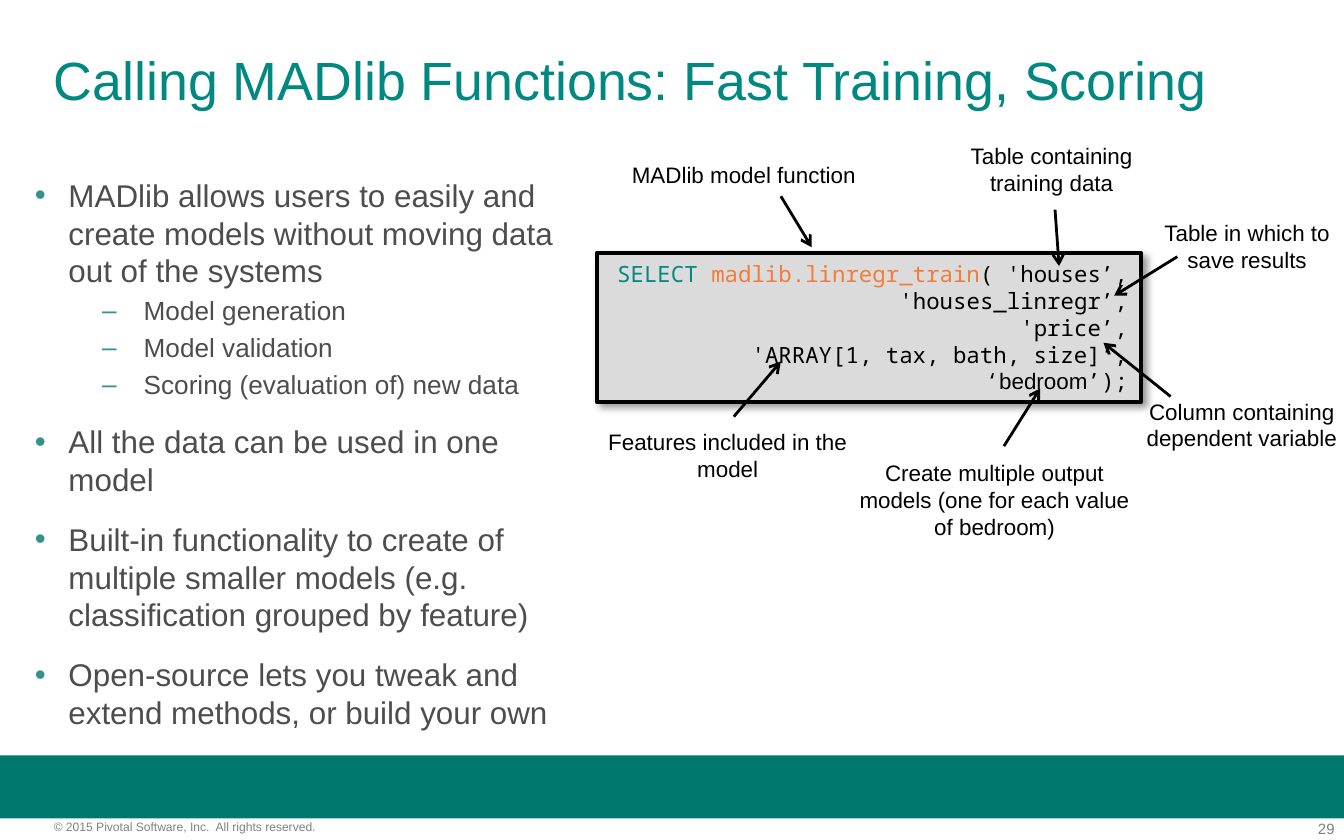
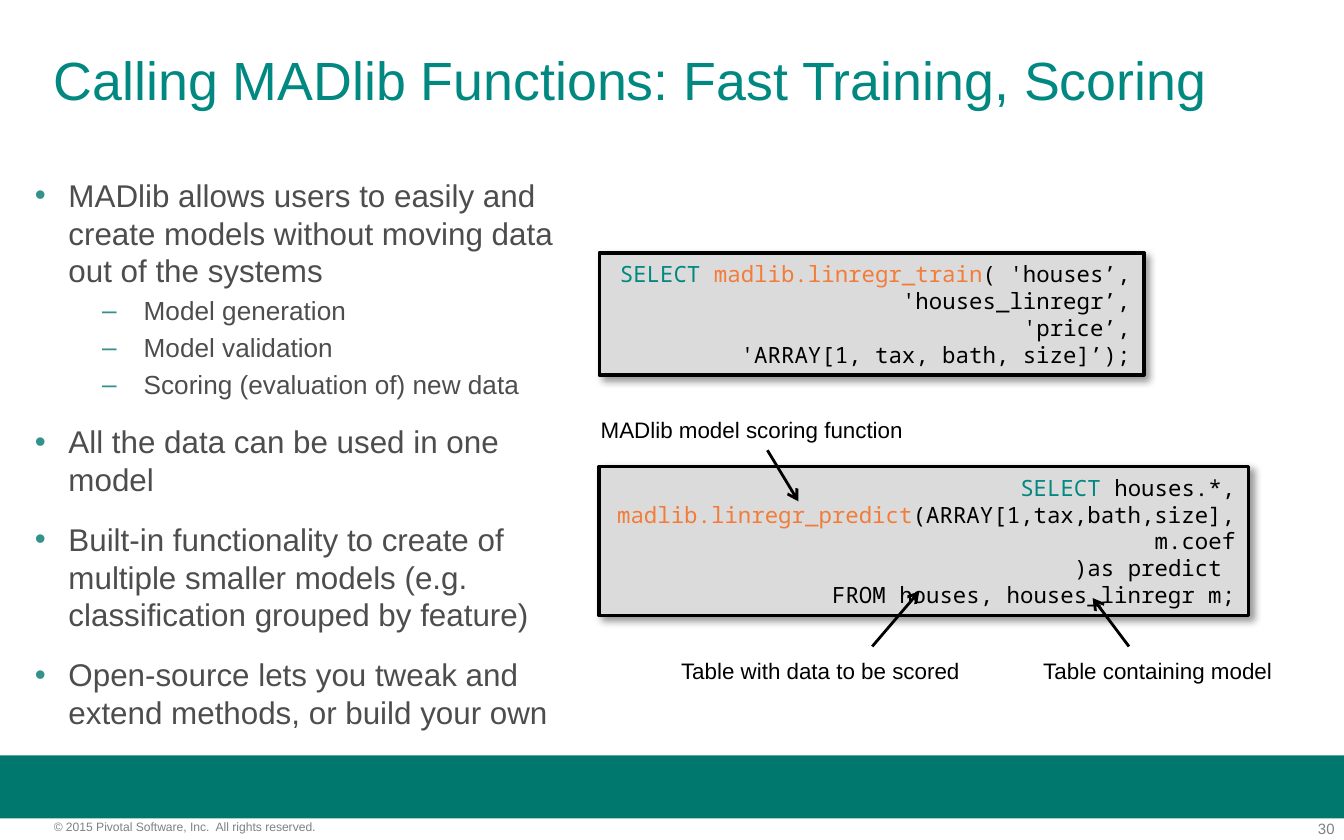
from lxml import etree
from pptx import Presentation
from pptx import util as u
from pptx.dml.color import RGBColor
from pptx.enum import shapes, text
from pptx.oxml import ns

COLORS = {
    "title": "008881",
    "keyword": "008881",
    "function": "F27C3A",
    "ink": "000000",
    "body": "4D4D4D",
    "bullet": "33928A",
    "band": "00786E",
    "panel": "DBDBDB",
    "page": "7F7F7F",
    "copyright": "808080",
}
SANS, MONO = "Arial", "Noto Sans Mono"
TITLE = "Calling MADlib Functions: Fast Training, Scoring"
COPYRIGHT = "© 2015 Pivotal Software, Inc.  All rights reserved."
POINTS = [
    (0, "MADlib allows users to easily and create models without moving data out of the systems"),
    (1, "Model generation"),
    (1, "Model validation"),
    (1, "Scoring (evaluation of) new data"),
    (0, "All the data can be used in one model"),
    (0, "Built-in functionality to create of multiple smaller models (e.g. classification grouped by feature)"),
    (0, "Open-source lets you tweak and extend methods, or build your own"),
]
LEVELS = [
    {"mark": "•", "size": 16.8, "before": 12, "left": 0.25, "hang": 0.25},
    {"mark": "–", "size": 14, "before": 3, "left": 0.81, "hang": 0.31},
]
TRAIN_OPENING = [
    [("SELECT ", "keyword"), ("madlib.linregr_train", "function"), ("( 'houses’,", "ink")],
    [("'houses_linregr’,", "ink")],
    [("'price’,", "ink")],
]
TRAIN_GROUPED = TRAIN_OPENING + [
    [("'ARRAY[1, tax, bath, size]’,", "ink")],
    [("‘", "ink"), ("bedroom", "ink", SANS), ("’);", "ink")],
]
TRAIN_SIMPLE = TRAIN_OPENING + [[("'ARRAY[1, tax, bath, size]’);", "ink")]]
PREDICT = [
    [("SELECT ", "keyword"), ("houses.*, ", "ink"), ("madlib.linregr_predict", "function"),
     ("(ARRAY[1,tax,bath,size], m.coef", "ink")],
    [(")as predict ", "ink")],
    [("FROM houses, houses_linregr m;", "ink")],
]


def rgb(name):
    return RGBColor.from_string(COLORS[name])


def box(left, top, width, height):
    return [u.Inches(value) for value in (left, top, width, height)]


def child(parent, tag, **attributes):
    return etree.SubElement(parent, ns.qn(tag), attributes)


class Deck:
    def __init__(self):
        self.presentation = Presentation()
        self.presentation.slide_width = u.Inches(10)
        self.presentation.slide_height = u.Inches(6.25)
        self.slide = None

    def start(self, page):
        self.slide = self.presentation.slides.add_slide(self.presentation.slide_layouts[5])
        self.text((9.35, 6.1, 0.58, 0.13), str(page), 8, "page", text.PP_ALIGN.RIGHT, inset=False)
        self.text((0.4, 6.1, 2.49, 0.11), COPYRIGHT, 6.5, "copyright", inset=False)
        self.band()
        self.title()

    def add_run(self, paragraph, content, size, color, font=SANS):
        run = paragraph.add_run()
        run.text = content
        run.font.size = u.Pt(size)
        run.font.name = font
        run.font.color.rgb = rgb(color)

    def frame(self, shape, inset=True, wrap=True, anchor=text.MSO_ANCHOR.TOP, grow=True):
        frame = shape.text_frame
        frame.word_wrap = wrap
        frame.vertical_anchor = anchor
        frame.auto_size = text.MSO_AUTO_SIZE.SHAPE_TO_FIT_TEXT if grow else text.MSO_AUTO_SIZE.NONE
        if not inset:
            frame.margin_left = frame.margin_top = frame.margin_right = frame.margin_bottom = 0
        return frame

    def text(self, at, content, size, color, align=text.PP_ALIGN.LEFT, **options):
        frame = self.frame(self.slide.shapes.add_textbox(*box(*at)), **options)
        paragraph = frame.paragraphs[0]
        paragraph.alignment = align
        self.add_run(paragraph, content, size, color)

    def label(self, at, content, wrap=True):
        self.text(at, content, 12, "ink", text.PP_ALIGN.CENTER, wrap=wrap)

    def rectangle(self, at, color):
        shape = self.slide.shapes.add_shape(shapes.MSO_SHAPE.RECTANGLE, *box(*at))
        shape.shadow.inherit = False
        shape.fill.solid()
        shape.fill.fore_color.rgb = rgb(color)
        return shape

    def band(self):
        self.rectangle((0, 5.62, 10, 0.47), "band").line.fill.background()

    def title(self):
        title = self.slide.shapes.title
        title.left, title.top, title.width, title.height = box(0.4, 0.4, 9.2, 0.56)
        paragraph = self.frame(title, inset=False, grow=False).paragraphs[0]
        paragraph.alignment = text.PP_ALIGN.LEFT
        paragraph.line_spacing = 0.9
        self.add_run(paragraph, TITLE, 28.8, "title")

    def bullets(self):
        body = self.slide.shapes.add_textbox(*box(0.26, 1.31, 4.04, 4.11))
        frame = self.frame(body, inset=False, grow=False)
        for index, (level, content) in enumerate(POINTS):
            style = LEVELS[level]
            paragraph = frame.add_paragraph() if index else frame.paragraphs[0]
            paragraph.level = level
            properties = paragraph._p.get_or_add_pPr()
            properties.set("marL", str(u.Inches(style["left"])))
            properties.set("indent", str(-u.Inches(style["hang"])))
            child(child(properties, "a:buClr"), "a:srgbClr", val=COLORS["bullet"])
            child(properties, "a:buFont", typeface=SANS)
            child(properties, "a:buChar", char=style["mark"])
            if index:
                paragraph.space_before = u.Pt(style["before"])
            self.add_run(paragraph, content, style["size"], "body")

    def code(self, at, lines):
        panel = self.rectangle(at, "panel")
        panel.line.color.rgb = rgb("ink")
        panel.line.width = u.Pt(2)
        effects = panel._element.spPr.find(ns.qn("a:effectLst"))
        shadow = child(effects, "a:outerShdw", blurRad=str(u.Pt(4)), dist=str(u.Pt(3)),
                       dir=str(45 * 60000), algn="tl", rotWithShape="0")
        child(child(shadow, "a:srgbClr", val=COLORS["ink"]), "a:alpha", val="40000")
        frame = self.frame(panel, anchor=text.MSO_ANCHOR.MIDDLE)
        for index, line in enumerate(lines):
            paragraph = frame.add_paragraph() if index else frame.paragraphs[0]
            paragraph.alignment = text.PP_ALIGN.RIGHT
            for content, color, *font in line:
                self.add_run(paragraph, content, 12, color, *(font or [MONO]))

    def arrow(self, start, end):
        arrow = self.slide.shapes.add_connector(shapes.MSO_CONNECTOR.STRAIGHT, *box(*start, *end))
        arrow.line.color.rgb = rgb("ink")
        arrow.line.width = u.Pt(1.5)
        properties = arrow._element.spPr
        child(properties.find(ns.qn("a:ln")), "a:tailEnd", type="arrow")
        child(properties, "a:effectLst")


def training(deck):
    deck.start(29)
    deck.code((4.44, 1.88, 4.05, 1.11), TRAIN_GROUPED)
    deck.label((4.59, 1.15, 1.89, 0.3), "MADlib model function", wrap=False)
    for at, content in [
        ((6.92, 1.01, 1.81, 0.5), "Table containing training data"),
        ((8.56, 1.58, 1.44, 0.5), "Table in which to save results"),
        ((8.39, 2.91, 1.7, 0.5), "Column containing dependent variable"),
        ((6.24, 3.37, 2.32, 0.71), "Create multiple output models (one for each value of bedroom)"),
        ((4.35, 3.14, 2.13, 0.5), "Features included in the model"),
    ]:
        deck.label(at, content)
    for start, end in [
        ((5.81, 1.46), (6.04, 1.84)),
        ((7.85, 1.56), (7.88, 1.98)),
        ((8.76, 1.91), (8.29, 2.2)),
        ((8.71, 2.95), (8.21, 2.55)),
        ((5.46, 3.1), (5.81, 2.69)),
        ((7.47, 3.32), (7.74, 2.89)),
    ]:
        deck.arrow(start, end)
    deck.bullets()


def scoring(deck):
    deck.start(30)
    deck.code((4.46, 1.88, 4.05, 0.91), TRAIN_SIMPLE)
    deck.code((4.46, 3.47, 4.83, 1.11), PREDICT)
    deck.label((4.36, 3.05, 2.47, 0.3), "MADlib model scoring function", wrap=False)
    deck.label((4.94, 4.84, 2.33, 0.3), "Table with data to be scored")
    deck.label((7.45, 4.84, 2.33, 0.3), "Table containing model")
    deck.arrow((5.71, 3.35), (5.94, 3.73))
    deck.arrow((6.49, 4.81), (6.84, 4.4))
    deck.arrow((8.4, 4.81), (8.13, 4.45))
    deck.bullets()


def main():
    deck = Deck()
    training(deck)
    scoring(deck)
    deck.presentation.save("out.pptx")


if __name__ == "__main__":
    main()
